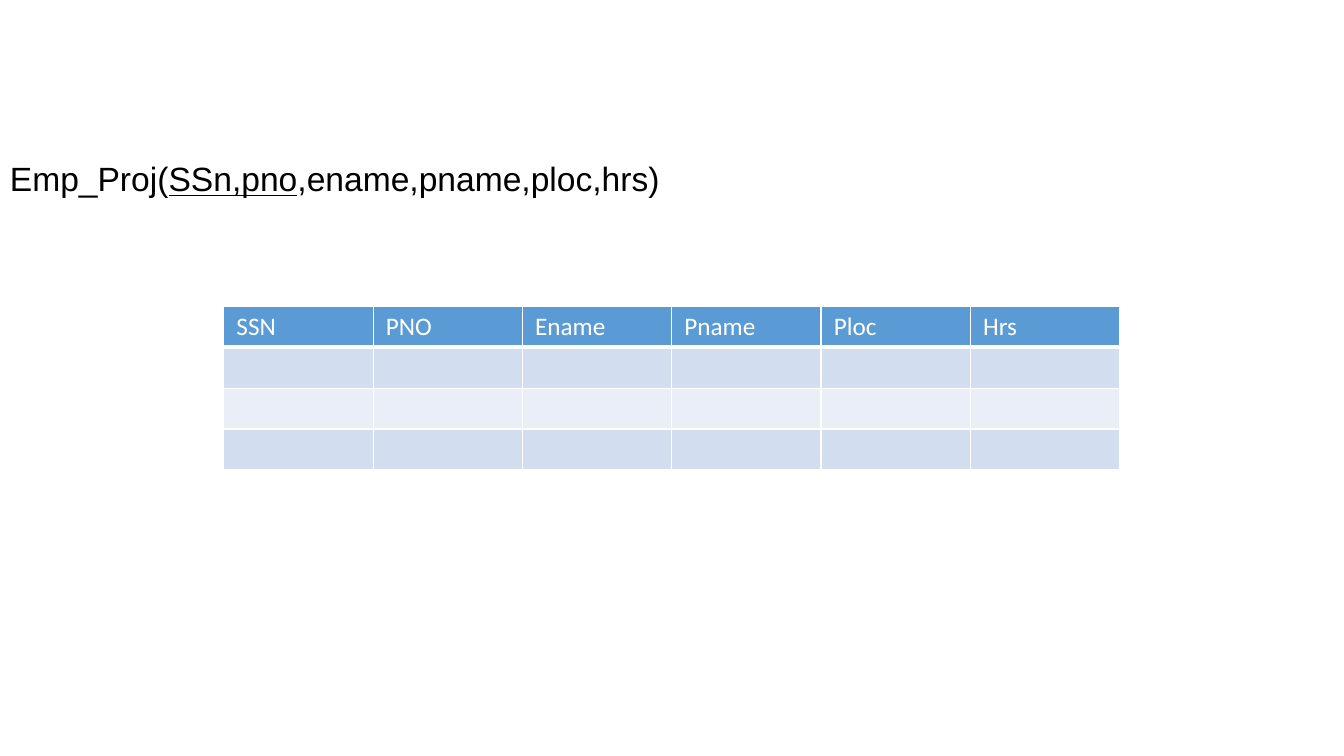
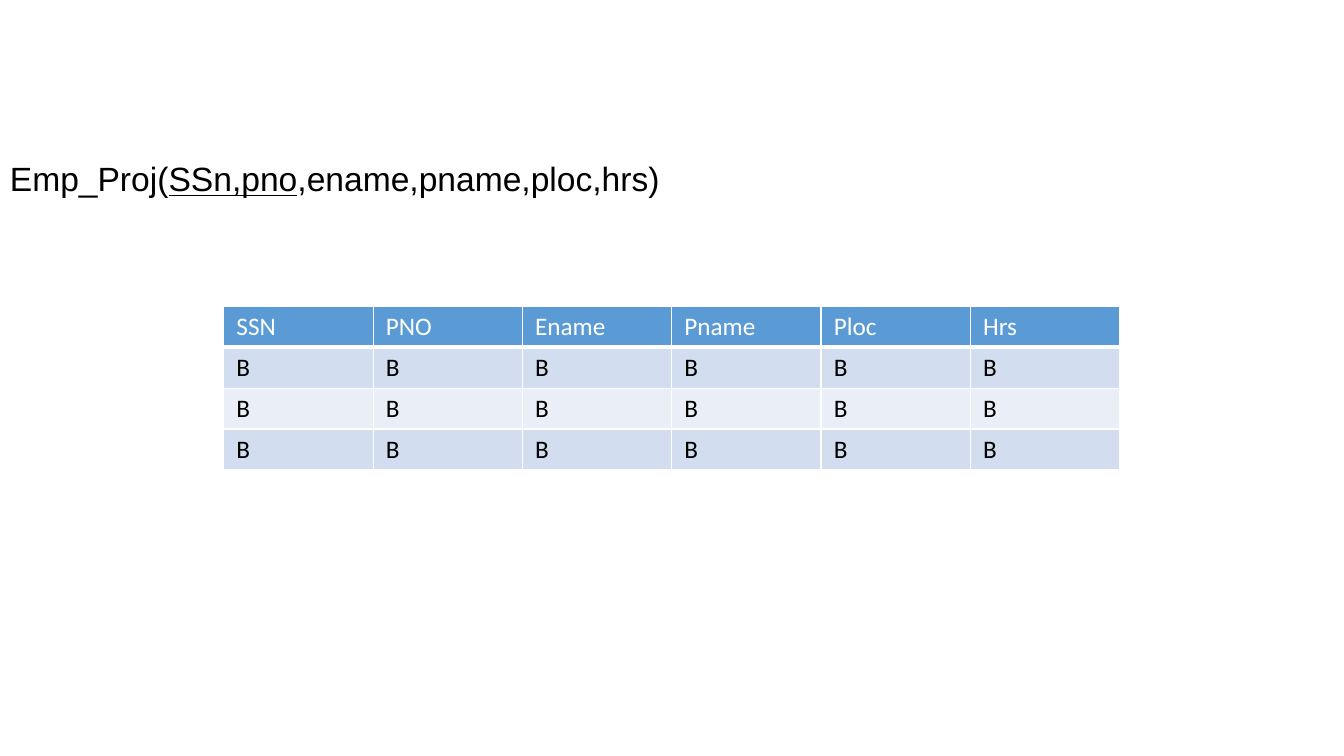
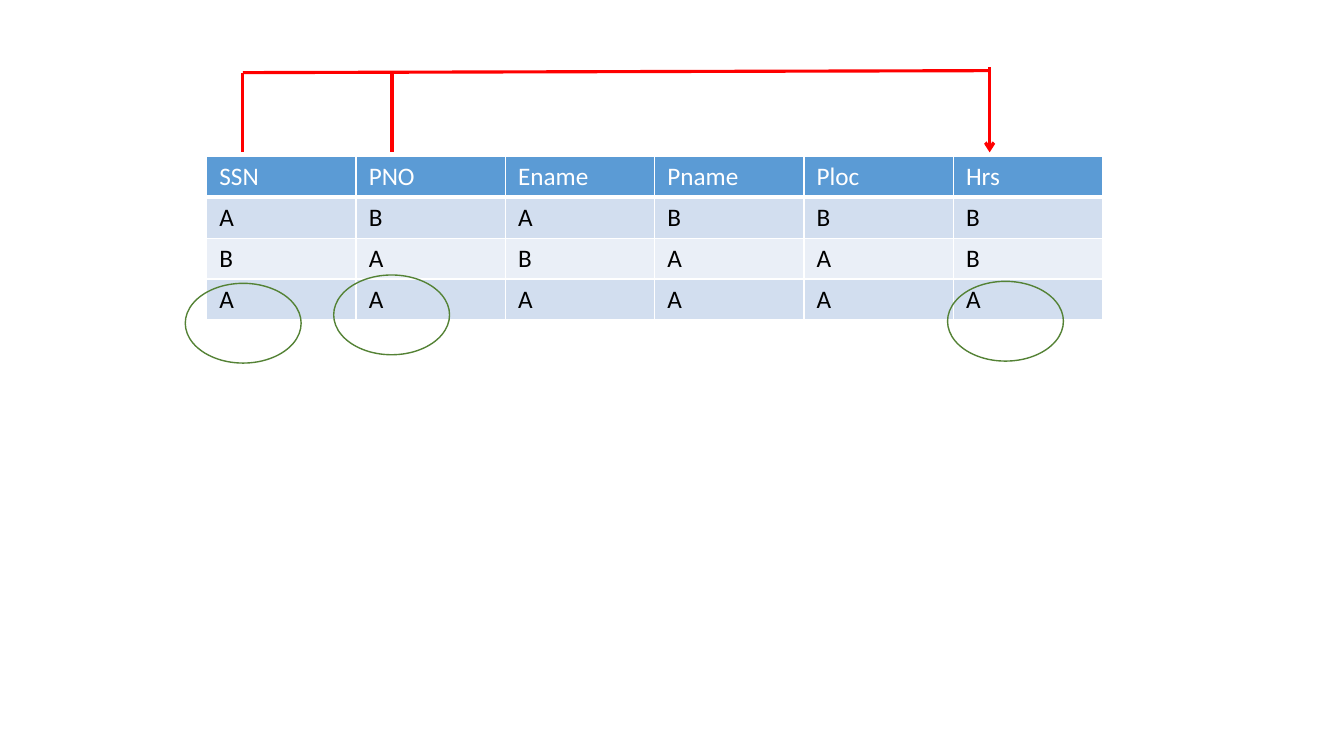
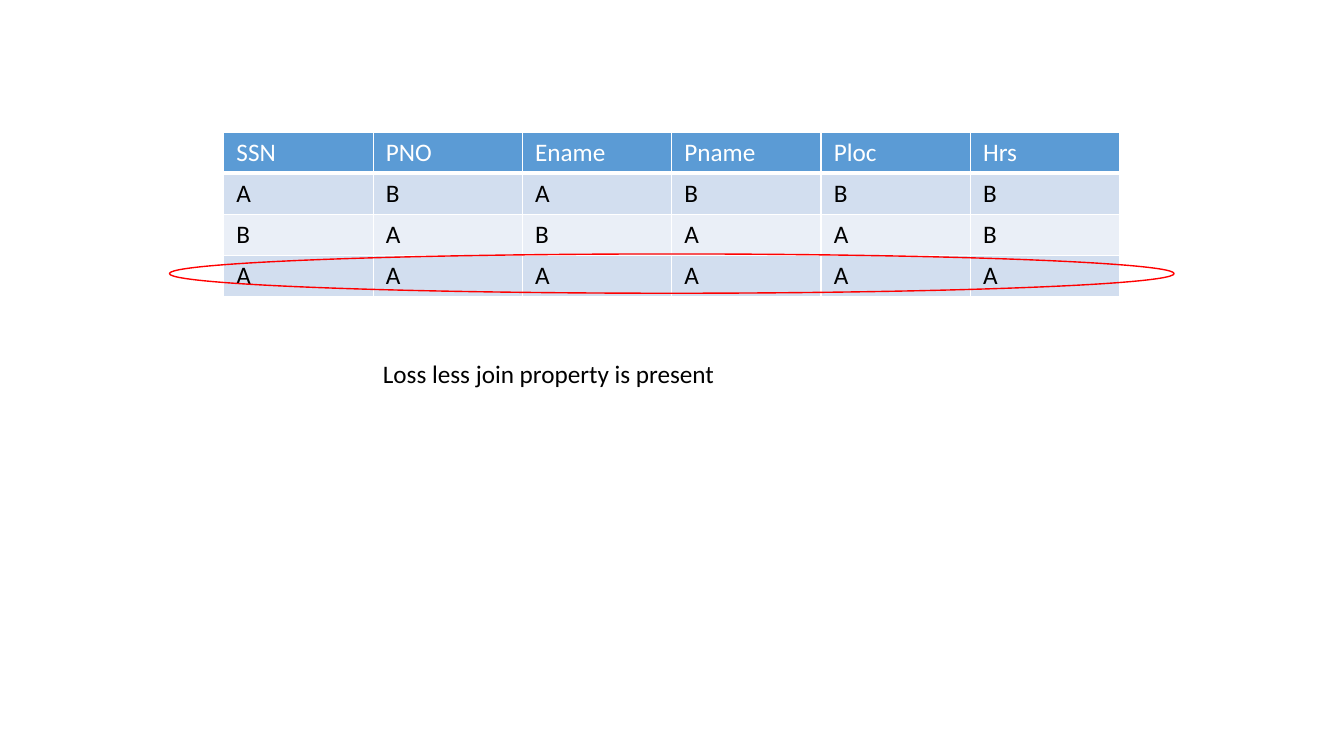
from lxml import etree
from pptx import Presentation, util as u
from pptx.dml.color import RGBColor
from pptx.enum import shapes, text
from pptx.oxml.ns import qn

BLACK, WHITE, RED, GREEN = "000000", "FFFFFF", "FF0000", "548235"
HEADER, BANDS = "5B9BD5", ("D2DEEF", "EAEFF7")
COLUMNS = ["SSN", "PNO", "Ename", "Pname", "Ploc", "Hrs"]
FINAL_ROWS = ["ABABBB", "BABAAB", "AAAAAA"]


def rgb(value):
    return RGBColor.from_string(value)


def add_run(p, content, font="Calibri", size=18, color=BLACK, underline=False):
    r = p.add_run()
    r.text = content
    r.font.name, r.font.size = font, u.Pt(size)
    r.font.color.rgb = rgb(color)
    r.font.bold, r.font.underline = False, underline


def add_border(cell, side, width):
    pr = cell._tc.get_or_add_tcPr()
    ln = etree.SubElement(pr, qn(f"a:ln{side}"), w=str(u.Pt(width)))
    fill = etree.SubElement(ln, qn("a:solidFill"))
    etree.SubElement(fill, qn("a:srgbClr"), val=WHITE)


class Deck:
    """Holds the shared style and the current slide."""

    def __init__(self):
        self.prs = Presentation()
        self.prs.slide_width, self.prs.slide_height = u.Cm(33.87), u.Cm(19.05)
        self.s = None

    def slide(self):
        self.s = self.prs.slides.add_slide(self.prs.slide_layouts[6])

    def text(self, x, y, w, h, runs, top=0.13, **style):
        tf = self.s.shapes.add_textbox(*map(u.Cm, (x, y, w, h))).text_frame
        tf.word_wrap = True
        tf.vertical_anchor = text.MSO_ANCHOR.TOP
        tf.margin_top = u.Cm(top)
        for content, underline in runs:
            add_run(tf.paragraphs[0], content, underline=underline, **style)

    def schema(self):
        runs = [("Emp_Proj(", False), ("SSn,pno", True), (",ename,pname,ploc,hrs)", False)]
        self.text(0, 2.74, 33.87, 16.31, runs, top=1.25, font="Arial", size=24)

    def table(self, x, y, body):
        rows = [COLUMNS, *body]
        frame = self.s.shapes.add_table(len(rows), len(COLUMNS), *map(u.Cm, (x, y, 22.58, 4.12)))
        table = frame.table
        for i, row in enumerate(rows):
            for j, value in enumerate(row):
                self.cell(table.cell(i, j), value.strip(), header=i == 0, band=BANDS[(i - 1) % 2])

    def cell(self, cell, value, header, band):
        for side in "LRTB":
            add_border(cell, side, 3 if header and side == "B" else 1)
        cell.fill.solid()
        cell.fill.fore_color.rgb = rgb(HEADER if header else band)
        cell.margin_left = cell.margin_right = u.Cm(0.32)
        cell.margin_top = cell.margin_bottom = u.Cm(0.13)
        if value:
            add_run(cell.text_frame.paragraphs[0], value, color=WHITE if header else BLACK)

    def ellipse(self, x, y, w, h, color):
        sp = self.s.shapes.add_shape(shapes.MSO_SHAPE.OVAL, *map(u.Cm, (x, y, w, h)))
        sp.shadow.inherit = False
        sp.fill.background()
        sp.line.color.rgb = rgb(color)
        sp.line.width = u.Pt(1)

    def line(self, x1, y1, x2, y2, arrow=False):
        ends = map(u.Cm, (x1, y1, x2, y2))
        cxn = self.s.shapes.add_connector(shapes.MSO_CONNECTOR.STRAIGHT, *ends)
        cxn.line.color.rgb = rgb(RED)
        cxn.line.width = u.Pt(2.25)
        if arrow:
            etree.SubElement(cxn.line._get_or_add_ln(), qn("a:tailEnd"), type="arrow")
        etree.SubElement(cxn._element.spPr, qn("a:effectLst"))


def main():
    deck = Deck()
    for mark in " B":
        deck.slide()
        deck.schema()
        deck.table(5.64, 7.72, [mark * len(COLUMNS)] * 3)

    deck.slide()
    deck.table(5.21, 3.94, FINAL_ROWS)
    ssn, pno, hrs, top, bottom = 6.12, 9.88, 24.94, 1.83, 3.84
    deck.line(ssn, top, ssn, bottom)
    deck.line(ssn, top, hrs, 1.78)
    for x, y in [(8.41, 6.93), (4.67, 7.14), (23.88, 7.09)]:
        deck.ellipse(x, y, 2.92, 2.01, GREEN)
    deck.line(hrs, 1.7, hrs, bottom, arrow=True)
    deck.line(pno, top, pno, bottom)

    deck.slide()
    deck.table(5.64, 3.33, FINAL_ROWS)
    deck.ellipse(4.27, 6.4, 25.32, 0.99, RED)
    deck.text(9.4, 8.89, 15.06, 1.02, [("Loss less join property is present", False)])
    deck.prs.save("out.pptx")


if __name__ == "__main__":
    main()
